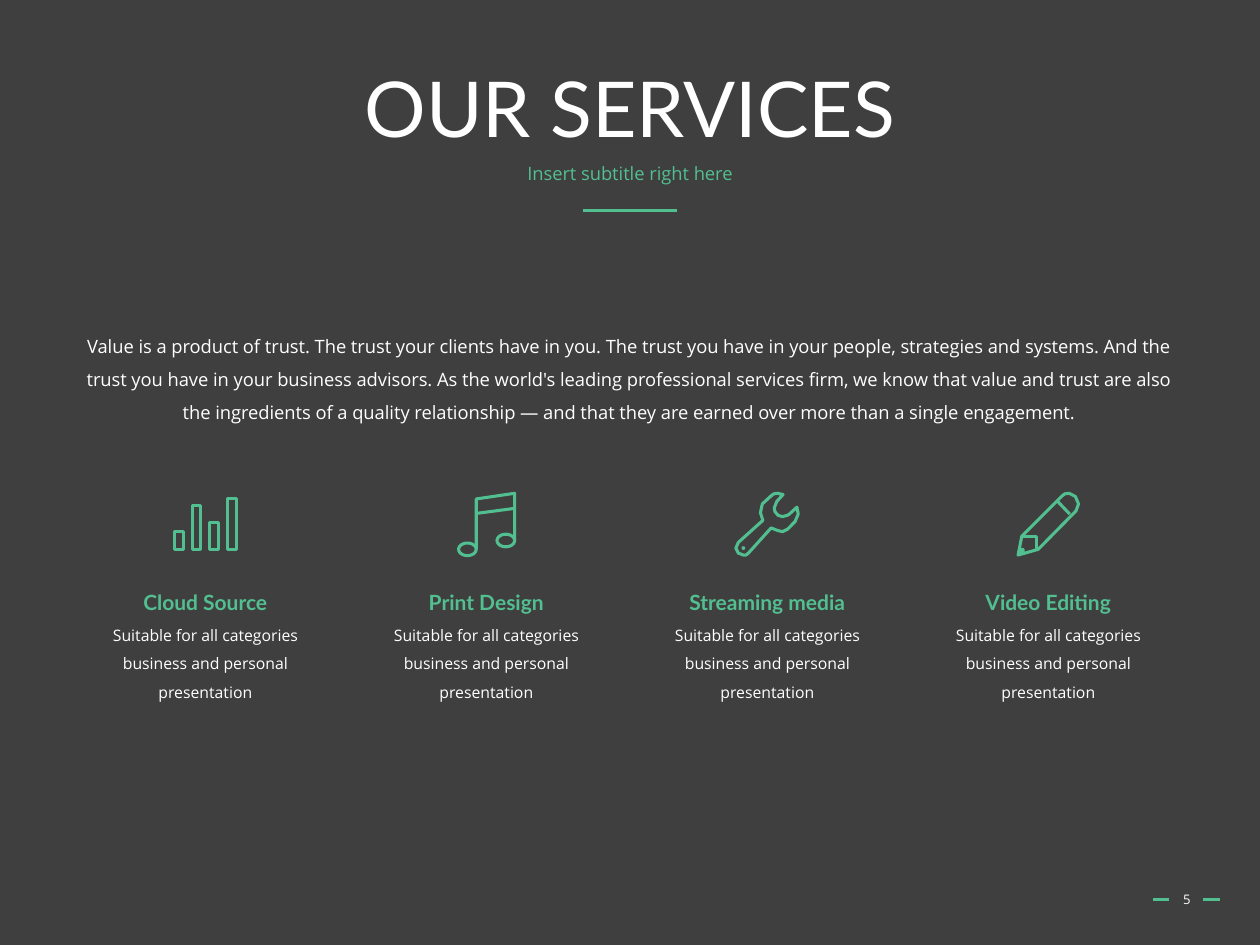
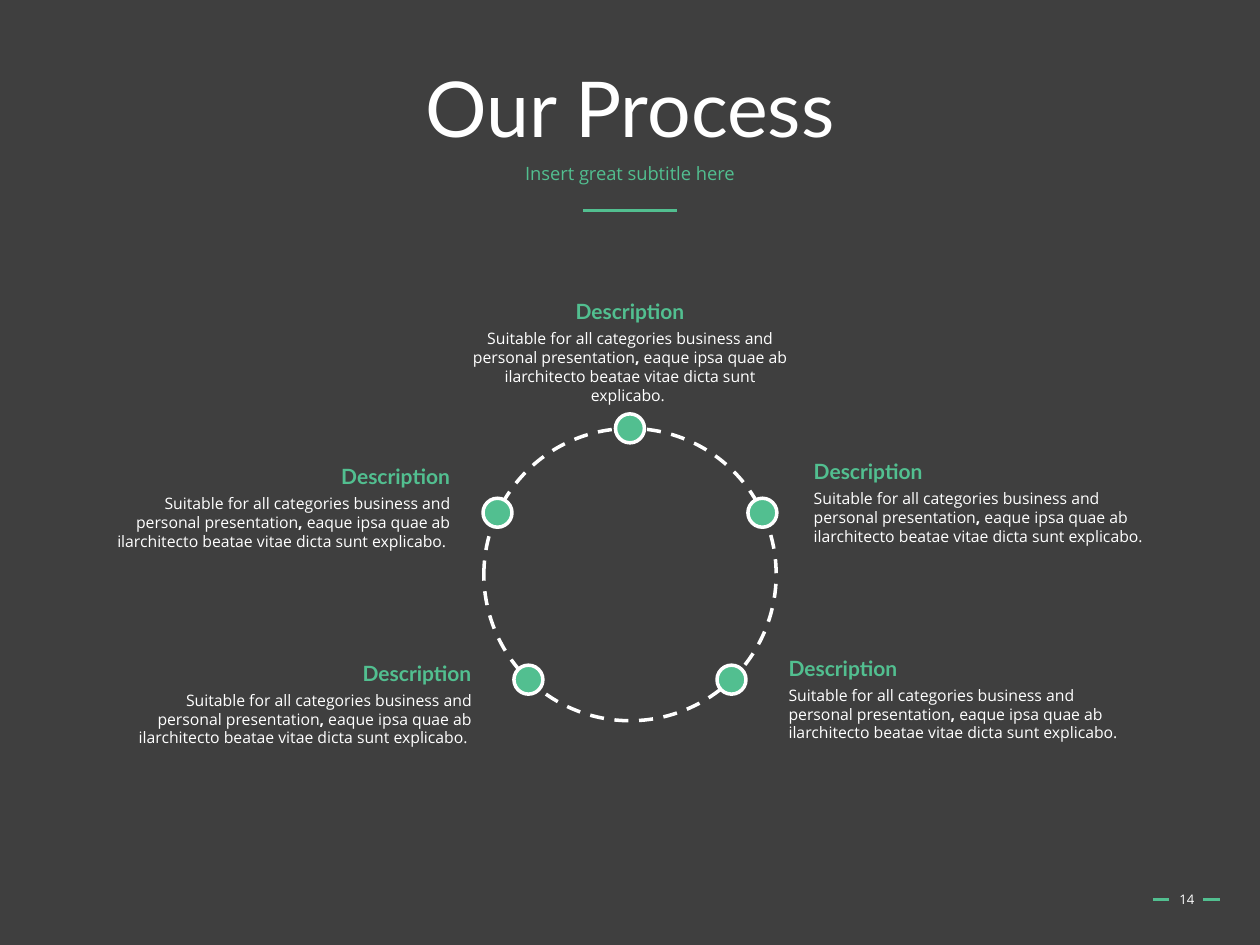
from dataclasses import dataclass
from math import cos, pi, radians, sin

from lxml import etree
from pptx import Presentation
from pptx.dml.color import RGBColor
from pptx.enum.dml import MSO_LINE
from pptx.enum.shapes import MSO_CONNECTOR, MSO_SHAPE
from pptx.enum.text import MSO_ANCHOR, MSO_AUTO_SIZE, PP_ALIGN
from pptx.oxml.ns import qn
from pptx.util import Inches, Pt

LEFT, CENTER, RIGHT = PP_ALIGN.LEFT, PP_ALIGN.CENTER, PP_ALIGN.RIGHT
TOP, MIDDLE = MSO_ANCHOR.TOP, MSO_ANCHOR.MIDDLE
OVAL, STRAIGHT, DASH = MSO_SHAPE.OVAL, MSO_CONNECTOR.STRAIGHT, MSO_LINE.DASH
TITLE_ONLY = 5


@dataclass(frozen=True)
class TextStyle:
    font: str
    size: float
    color: RGBColor
    bold: bool = False


class Theme:
    background = RGBColor.from_string("3F3F3F")
    accent = RGBColor.from_string("52BF90")
    white = RGBColor.from_string("FFFFFF")
    rule_width = 1.75
    ring_width = 2
    title = TextStyle("Lato", 44, white)
    subtitle = TextStyle("Open Sans", 10.5, accent)
    intro = TextStyle("Open Sans", 10.5, white)
    heading = TextStyle("Lato", 12, accent, True)
    body = TextStyle("Open Sans", 9, white)
    page = TextStyle("Open Sans", 7.5, white)


# Content
SERVICES_TITLE = ("OUR SERVICES", "Insert subtitle right here", "5")
PROCESS_TITLE = ("Our Process", "Insert great subtitle here", "14")

INTRO = (
    "Value is a product of trust. The trust your clients have in you. "
    "The trust you have in your people, strategies and systems. And the trust "
    "you have in your business advisors. As the world's leading professional "
    "services firm, we know that value and trust are also the ingredients of a "
    "quality relationship — and that they are earned over more than a single "
    "engagement."
)
SUITABLE = "Suitable for all categories business and personal presentation"
STEP_TEXT = (SUITABLE, ",",
             " eaque ipsa quae ab ilarchitecto beatae vitae dicta sunt explicabo. ")

# (name, width of its heading, icon)
SERVICES = [
    ("Cloud Source", 1.2, "bars"),
    ("Print Design", 1.13, "note"),
    ("Streaming media", 1.46, "wrench"),
    ("Video Editing", 1.2, "pencil"),
]

# (angle on the ring, text edge or centre, heading top, alignment, width, lines)
STEPS = [
    (-90, 5, 2.32, CENTER, 2.76, 4),
    (-25, 6.36, 3.59, LEFT, 2.85, 3),
    (46, 6.16, 5.15, LEFT, 2.85, 3),
    (134, 3.84, 5.19, RIGHT, 2.85, 3),
    (205, 3.67, 3.63, RIGHT, 2.85, 3),
]

# Layout, in inches
SLIDE_W, SLIDE_H = 10, 7.5
CENTER_X = SLIDE_W / 2
TITLE_W = 8.62
RULES = [(4.63, 5.37, 1.67), (9.15, 9.28, 7.14), (9.55, 9.68, 7.14)]
FIRST_COLUMN, COLUMN_STEP, COLUMN_TEXT_W = 1.63, 2.23, 2.1
ICON_TOP, SERVICE_TOP = 3.9, 4.63
RING_Y, RING_RADIUS, NODE_RADIUS = 4.56, 1.16, 0.115
HEADING_H, STEP_HEADING_W = 0.3, 1.71
LINE_H, INSET_H = 0.15, 0.1


def ellipse_points(x, y, rx, ry, count=24):
    turns = [2 * pi * i / count for i in range(count)]
    return [(x + rx * cos(t), y + ry * sin(t)) for t in turns]


def bar_points(left, top, width=7, bottom=46):
    return [(left, top), (left + width, top),
            (left + width, bottom), (left, bottom)]


# Each icon is a list of (closed, points), in hundredths of an inch
# from the middle of its top edge.
ICONS = {
    "bars": [(True, bar_points(-24.5 + 14 * i, top))
             for i, top in enumerate((32, 11, 25, 6))],
    "note": [
        (False, [(-8, 46), (-8, 6), (22.5, 1.5), (22.5, 39)]),
        (False, [(-8, 17.5), (22.5, 13.5)]),
        (True, ellipse_points(-15, 46, 7, 5)),
        (True, ellipse_points(15.5, 39, 7, 5)),
    ],
    "wrench": [
        (True, [(-23, 40.5), (-3.5, 23), (-5.5, 17), (-4, 10), (2.5, 4), (5, 2),
                (8, 1.5), (12.5, 2.5), (7.5, 8), (5.5, 13), (6, 16), (8.5, 19),
                (12, 20), (16, 19), (17.5, 18), (23.5, 12.5), (24.5, 18),
                (22, 24), (16, 30), (12, 32), (8, 31), (3, 29), (-15, 49),
                (-17, 50.5), (-19, 50.5), (-23, 49), (-25, 45)]),
        (True, ellipse_points(-19, 45, 0.3, 0.3, 8)),
    ],
    "pencil": [
        (True, [(-24, 50.5), (-21, 35.5), (10.5, 4), (13, 2), (16.5, 1.5),
                (21.5, 4), (24, 10), (22, 15.5), (-8, 46)]),
        (False, [(7.5, 8), (17, 18)]),
        (False, [(-21, 35.5), (-9.5, 35.5), (-9.5, 46)]),
        (True, [(-22, 46), (-20, 46), (-20, 49), (-23, 49.5)]),
    ],
}


def place(shape, left, top, width, height):
    shape.left, shape.top = Inches(left), Inches(top)
    shape.width, shape.height = Inches(width), Inches(height)


def write(frame, runs, style, align=CENTER, spacing=None, before=None,
          anchor=TOP, wrap=True, grow=False):
    """Fill a text frame with one paragraph; every second run is bold."""
    frame.word_wrap = wrap
    frame.auto_size = (MSO_AUTO_SIZE.SHAPE_TO_FIT_TEXT if grow
                       else MSO_AUTO_SIZE.NONE)
    frame.vertical_anchor = anchor
    paragraph = frame.paragraphs[0]
    paragraph.alignment = align
    if spacing:
        paragraph.line_spacing = spacing
    if before:
        paragraph.space_before = Pt(before)
    font = paragraph.font
    font.name, font.size, font.bold = style.font, Pt(style.size), style.bold
    font.color.rgb = style.color
    for index, words in enumerate(runs):
        run = paragraph.add_run()
        run.text = words
        if index % 2:
            run.font.bold = True


def add_text(slide, box, runs, style, **options):
    write(slide.shapes.add_textbox(*map(Inches, box)).text_frame,
          runs, style, **options)


def add_rule(slide, start, end, y):
    rule = slide.shapes.add_connector(
        STRAIGHT, Inches(start), Inches(y), Inches(end), Inches(y))
    rule.line.color.rgb = Theme.accent
    rule.line.width = Pt(Theme.rule_width)
    etree.SubElement(rule._element.spPr, qn("a:effectLst"))


def add_circle(slide, x, y, radius, fill=None, dash=None):
    circle = slide.shapes.add_shape(
        OVAL, *map(Inches, (x - radius, y - radius, 2 * radius, 2 * radius)))
    circle.shadow.inherit = False
    if fill is None:
        circle.fill.background()
    else:
        circle.fill.solid()
        circle.fill.fore_color.rgb = fill
    circle.line.color.rgb = Theme.white
    circle.line.width = Pt(Theme.ring_width)
    if dash:
        circle.line.dash_style = dash


def add_icon(slide, outlines, x, y):
    builder = None
    for closed, points in outlines:
        start, *rest = [(Inches(px / 100), Inches(py / 100)) for px, py in points]
        if builder is None:
            builder = slide.shapes.build_freeform(*start)
        else:
            builder.move_to(*start)
        builder.add_line_segments(rest, close=closed)
    icon = builder.convert_to_shape(Inches(x), Inches(y))
    icon.shadow.inherit = False
    icon.fill.background()
    icon.line.color.rgb = Theme.accent
    icon.line.width = Pt(Theme.rule_width)


def add_base_slide(prs, title, subtitle, page):
    """Add a slide with the title, subtitle, rules and page number."""
    slide = prs.slides.add_slide(prs.slide_layouts[TITLE_ONLY])
    for rule in RULES:
        add_rule(slide, *rule)
    left = CENTER_X - TITLE_W / 2
    place(slide.shapes.title, left, 0.4, TITLE_W, 0.98)
    write(slide.shapes.title.text_frame, [title], Theme.title,
          spacing=0.9, anchor=MIDDLE)
    add_text(slide, (left, 1.26, TITLE_W, 0.4), [subtitle], Theme.subtitle,
             spacing=0.9, before=10)
    add_text(slide, (9.2, 6.94, 0.44, 0.4), [page], Theme.page, anchor=MIDDLE)
    return slide


def build_services(prs):
    slide = add_base_slide(prs, *SERVICES_TITLE)
    add_text(slide, (0.52, 2.52, 8.95, 1.04), [INTRO], Theme.intro, spacing=1.5)
    for column, (name, name_w, icon) in enumerate(SERVICES):
        x = FIRST_COLUMN + column * COLUMN_STEP
        add_icon(slide, ICONS[icon], x, ICON_TOP)
        add_text(slide, (x - name_w / 2, SERVICE_TOP, name_w, HEADING_H),
                 [name], Theme.heading, wrap=False, grow=True)
        add_text(slide, (x - COLUMN_TEXT_W / 2, SERVICE_TOP + 0.21,
                         COLUMN_TEXT_W, 0.78),
                 [SUITABLE], Theme.body, spacing=1.5, grow=True)


def build_process(prs):
    slide = add_base_slide(prs, *PROCESS_TITLE)
    add_circle(slide, CENTER_X, RING_Y, RING_RADIUS, dash=DASH)
    share_left_of_edge = {LEFT: 0, CENTER: 0.5, RIGHT: 1}
    for angle, edge, top, align, width, lines in STEPS:
        turn = radians(angle)
        add_circle(slide, CENTER_X + RING_RADIUS * cos(turn),
                   RING_Y + RING_RADIUS * sin(turn), NODE_RADIUS, Theme.accent)
        share = share_left_of_edge[align]
        add_text(slide, (edge - share * width, top + 0.24, width,
                         lines * LINE_H + INSET_H),
                 STEP_TEXT, Theme.body, align=align, grow=True)
        add_text(slide, (edge - share * STEP_HEADING_W, top,
                         STEP_HEADING_W, HEADING_H),
                 ["Description"], Theme.heading, align=align, grow=True)


def main():
    prs = Presentation()
    prs.slide_width, prs.slide_height = Inches(SLIDE_W), Inches(SLIDE_H)
    backdrop = prs.slide_master.background.fill
    backdrop.solid()
    backdrop.fore_color.rgb = Theme.background
    build_services(prs)
    build_process(prs)
    prs.save("out.pptx")


if __name__ == "__main__":
    main()
